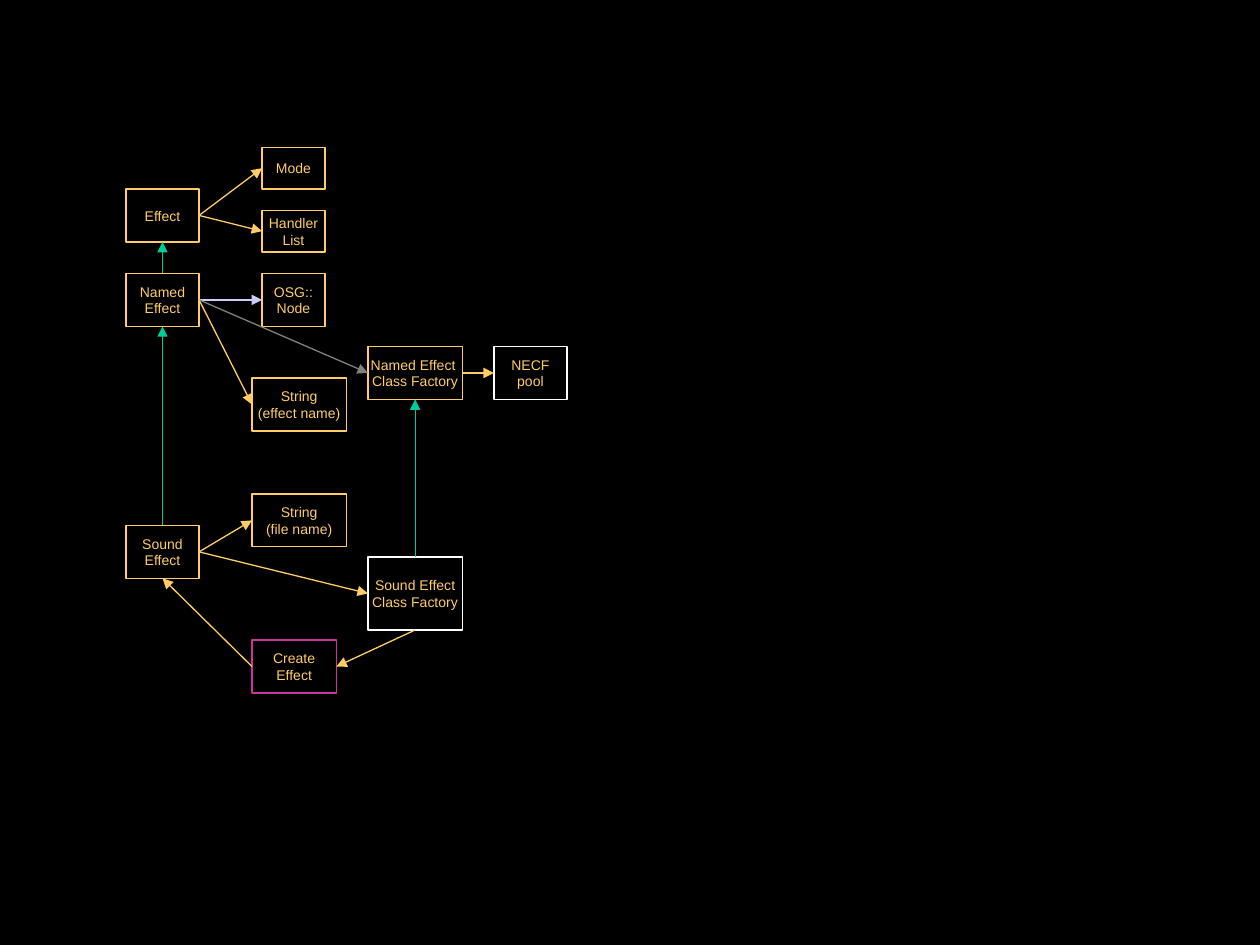
from pptx import Presentation
from pptx.dml.color import RGBColor
from pptx.enum.shapes import MSO_CONNECTOR, MSO_SHAPE
from pptx.enum.text import MSO_ANCHOR, PP_ALIGN
from pptx.oxml.ns import qn
from pptx.util import Inches, Pt
from lxml.etree import SubElement

THEME = {
    "background": "000000", "gold": "FFCC66", "green": "00CC99",
    "lilac": "CCCCFF", "gray": "808080", "white": "FFFFFF", "magenta": "CC3399",
    "font": "Arial", "size": 8, "line": 0.75,
}

# key: (text, left, top, width, height, outline)
BOXES = {
    "sound": ("Sound\nEffect", 1, 4.17, 0.58, 0.42, "gold"),
    "named": ("Named\nEffect", 1, 2.17, 0.58, 0.42, "gold"),
    "effect": ("Effect", 1, 1.5, 0.58, 0.42, "gold"),
    "mode": ("Mode", 2.08, 1.17, 0.5, 0.33, "gold"),
    "handlers": ("Handler\nList", 2.08, 1.67, 0.5, 0.33, "gold"),
    "node": ("OSG::\nNode", 2.08, 2.17, 0.5, 0.42, "gold"),
    "named factory": ("Named Effect \nClass Factory", 2.92, 2.75, 0.75, 0.42, "gold"),
    "effect name": ("String\n(effect name)", 2, 3, 0.75, 0.42, "gold"),
    "file name": ("String\n(file name)", 2, 3.92, 0.75, 0.42, "gold"),
    "sound factory": ("Sound Effect\nClass Factory", 2.92, 4.42, 0.75, 0.58, "white"),
    "create": ("Create\nEffect", 2, 5.08, 0.67, 0.42, "magenta"),
    "pool": ("NECF\npool", 3.92, 2.75, 0.58, 0.42, "white"),
}

# Connection sites of a rectangle
TOP, LEFT, BOTTOM, RIGHT = range(4)

# (start box, start site, end box, end site, colour)
ARROWS = [
    ("sound", TOP, "named", BOTTOM, "green"),
    ("named", TOP, "effect", BOTTOM, "green"),
    ("effect", RIGHT, "mode", LEFT, "gold"),
    ("effect", RIGHT, "handlers", LEFT, "gold"),
    ("named", RIGHT, "node", LEFT, "lilac"),
    ("named", RIGHT, "named factory", LEFT, "gray"),
    ("named", RIGHT, "effect name", LEFT, "gold"),
    ("sound", RIGHT, "file name", LEFT, "gold"),
    ("sound", RIGHT, "sound factory", LEFT, "gold"),
    ("sound factory", TOP, "named factory", BOTTOM, "green"),
    ("create", LEFT, "sound", BOTTOM, "gold"),
    ("sound factory", BOTTOM, "create", RIGHT, "gold"),
    ("named factory", RIGHT, "pool", LEFT, "gold"),
]


def color(name):
    return RGBColor.from_string(THEME[name])


def set_line(line, name):
    line.color.rgb = color(name)
    line.width = Pt(THEME["line"])


def add_box(slide, text, left, top, width, height, outline):
    s = slide.shapes.add_shape(
        MSO_SHAPE.RECTANGLE, *map(Inches, (left, top, width, height)))
    s.shadow.inherit = False
    s.fill.background()
    set_line(s.line, outline)
    tf = s.text_frame
    tf.word_wrap = False
    tf.vertical_anchor = MSO_ANCHOR.MIDDLE
    tf.text = text
    for p in tf.paragraphs:
        p.alignment = PP_ALIGN.CENTER
        for r in p.runs:
            r.font.name = THEME["font"]
            r.font.size = Pt(THEME["size"])
            r.font.color.rgb = color("gold")
    return s


def add_arrow(slide, start, start_site, end, end_site, name):
    c = slide.shapes.add_connector(MSO_CONNECTOR.STRAIGHT, 0, 0, 0, 0)
    c.begin_connect(start, start_site)
    c.end_connect(end, end_site)
    set_line(c.line, name)
    SubElement(c.line._get_or_add_ln(), qn("a:tailEnd"), type="triangle")
    SubElement(c._element.spPr, qn("a:effectLst"))


def main():
    prs = Presentation()
    prs.slide_width, prs.slide_height = Inches(10), Inches(7.5)
    slide = prs.slides.add_slide(prs.slide_layouts[6])
    fill = slide.background.fill
    fill.solid()
    fill.fore_color.rgb = color("background")

    boxes = {key: add_box(slide, *box) for key, box in BOXES.items()}
    for start, start_site, end, end_site, name in ARROWS:
        add_arrow(slide, boxes[start], start_site, boxes[end], end_site, name)
    prs.save("out.pptx")


if __name__ == "__main__":
    main()
